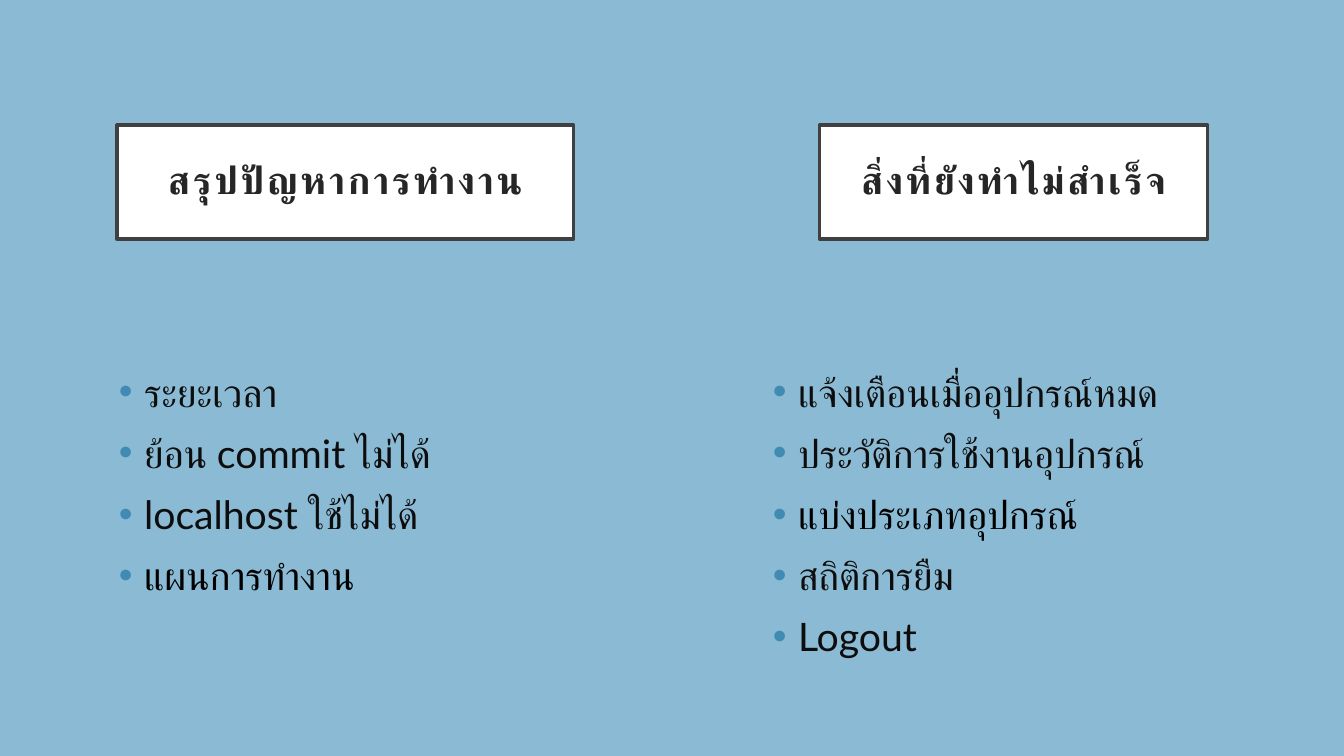
from lxml import etree
from pptx import Presentation
from pptx.dml.color import RGBColor
from pptx.enum.shapes import MSO_SHAPE
from pptx.enum.text import MSO_ANCHOR, PP_ALIGN
from pptx.oxml.ns import qn
from pptx.util import Pt

RECTANGLE = MSO_SHAPE.RECTANGLE
MIDDLE = MSO_ANCHOR.MIDDLE
CENTER = PP_ALIGN.CENTER
INK = "0D0D0D"
BLACK = "000000"


def color(hex_string):
    return RGBColor.from_string(hex_string)


def add_run(paragraph, text, size, hex_string):
    run = paragraph.add_run()
    run.text = text
    run.font.name = "Lato"
    run.font.size = Pt(size)
    run.font.color.rgb = color(hex_string)
    return run


presentation = Presentation()
presentation.slide_width = Pt(960)
presentation.slide_height = Pt(540)
slide = presentation.slides.add_slide(presentation.slide_layouts[6])
slide.background.fill.solid()
slide.background.fill.fore_color.rgb = color("8ABAD4")

headings = [
    ("สิ่งที่ยังทำไม่สำเร็จ", 585.4, 277.2, 27),
    ("สรุปปัญหาการทำงาน", 83.5, 326.2, 27.3),
]
for text, left, width, size in headings:
    heading = slide.shapes.add_shape(RECTANGLE, Pt(left), Pt(89.3), Pt(width), Pt(81.4))
    heading.shadow.inherit = False
    heading.fill.solid()
    heading.fill.fore_color.rgb = color("FFFFFF")
    heading.line.color.rgb = color("404040")
    heading.line.width = Pt(2.5)
    frame = heading.text_frame
    frame.word_wrap = True
    frame.vertical_anchor = MIDDLE
    frame.margin_left = frame.margin_right = Pt(14.4)
    frame.margin_top = frame.margin_bottom = Pt(14.4)
    paragraph = frame.paragraphs[0]
    paragraph.alignment = CENTER
    paragraph.line_spacing = 0.9
    run = add_run(paragraph, text, size, "262626")
    run.font.bold = True
    run.font._element.set("spc", "200")

lists = [
    (545, 357.8, 219.6, [
        ("แจ้งเตือนเมื่ออุปกรณ์หมด", INK),
        ("ประวัติการใช้งานอุปกรณ์", INK),
        ("แบ่งประเภทอุปกรณ์", BLACK),
        ("สถิติการยืม", INK),
        ("Logout", INK),
    ]),
    (77.8, 337.7, 192.2, [
        ("ระยะเวลา", INK),
        ("ย้อน commit ไม่ได้", INK),
        ("localhost ใช้ไม่ได้", INK),
        ("แผนการทำงาน", BLACK),
    ]),
]
for left, width, height, items in lists:
    frame = slide.shapes.add_textbox(Pt(left), Pt(259.2), Pt(width), Pt(height)).text_frame
    frame.word_wrap = True
    for index, (text, ink) in enumerate(items):
        paragraph = frame.add_paragraph() if index else frame.paragraphs[0]
        paragraph.space_before = Pt(10)
        add_run(paragraph, text, 28, ink)
        properties = paragraph._p.get_or_add_pPr()
        properties.set("marL", str(Pt(18)))
        properties.set("indent", str(Pt(-18)))
        bullet_color = etree.SubElement(properties, qn("a:buClr"))
        etree.SubElement(bullet_color, qn("a:srgbClr"), val="418AB3")
        etree.SubElement(properties, qn("a:buFont"), typeface="Arial")
        etree.SubElement(properties, qn("a:buChar"), char="•")

presentation.save("out.pptx")
